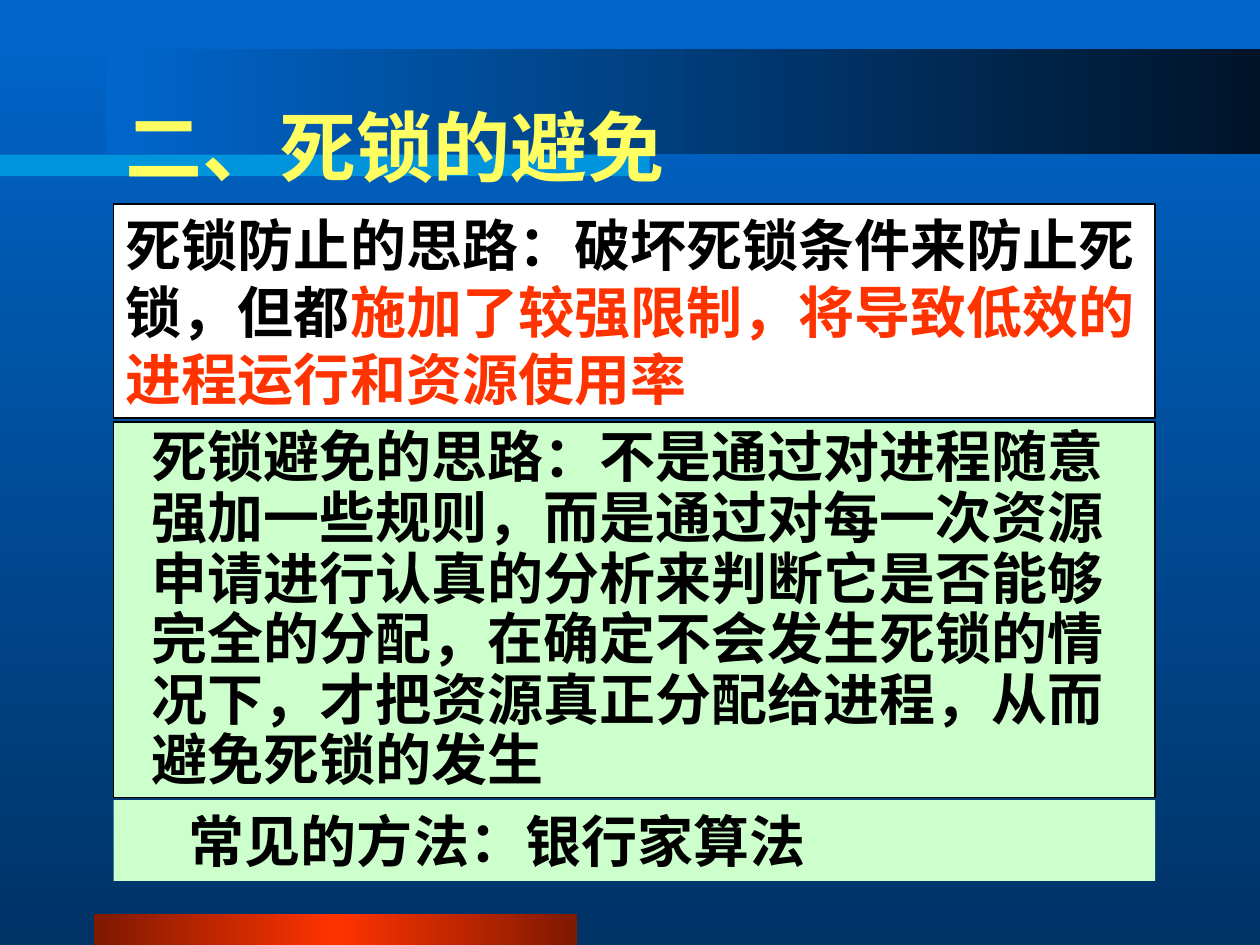
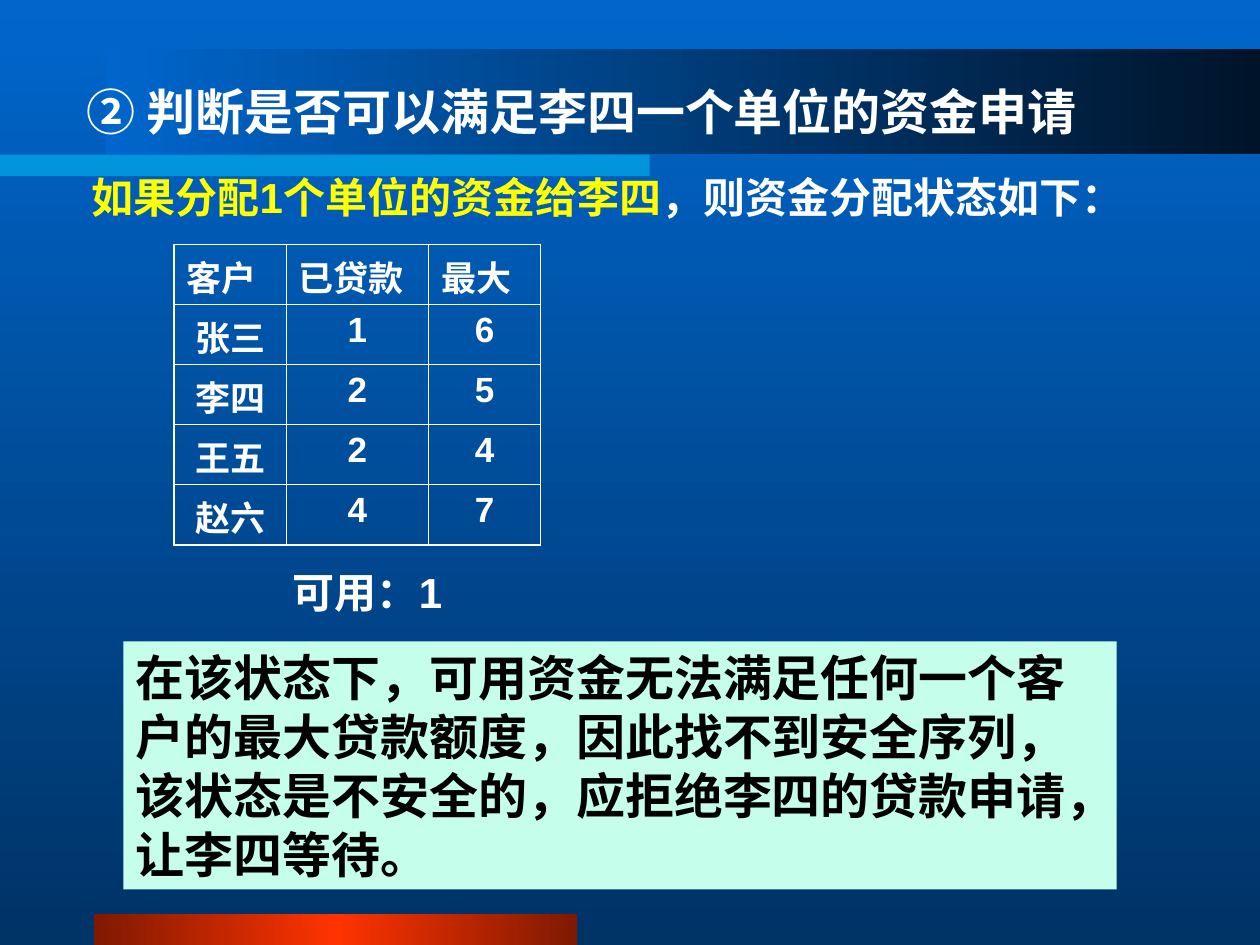
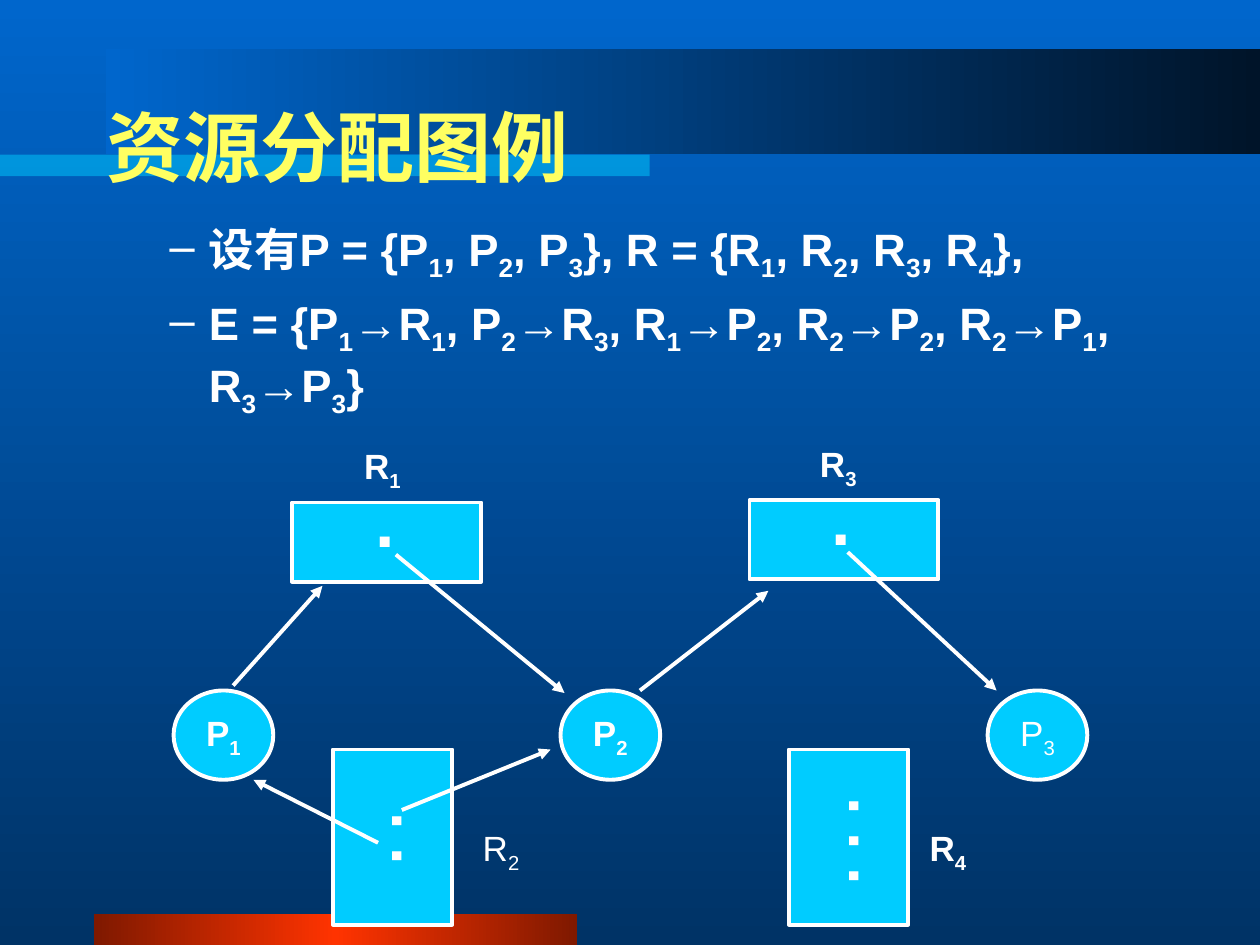
from copy import deepcopy
from typing import NamedTuple

from lxml import etree
from pptx import Presentation
from pptx.dml.color import RGBColor
from pptx.enum.shapes import MSO_CONNECTOR, MSO_SHAPE
from pptx.enum.text import MSO_ANCHOR, PP_ALIGN
from pptx.oxml.ns import qn
from pptx.util import Cm, Pt

RECTANGLE = MSO_SHAPE.RECTANGLE
OVAL = MSO_SHAPE.OVAL
STRAIGHT = MSO_CONNECTOR.STRAIGHT
LEFT, CENTER = PP_ALIGN.LEFT, PP_ALIGN.CENTER
TOP, MIDDLE = MSO_ANCHOR.TOP, MSO_ANCHOR.MIDDLE

SERIF, SANS = "Times New Roman", "Arial"
WHITE, BLACK, RED = "FFFFFF", "000000", "FF3300"
TITLE_YELLOW, YELLOW = "FFFF61", "FFFF00"
BLUE, NAVY, NIGHT, CYAN = "0066CC", "003366", "001429", "00CCFF"
MAROON, PALE_GREEN, MINT = "7F1900", "CCFFCC", "C5FFEC"

INSETS = (0.25, 0.13, 0.25, 0.13)
VERTICAL_INSETS = (0.13, 0.25, 0.13, 0.25)


class Box(NamedTuple):
    left: float
    top: float
    width: float
    height: float

    def lengths(self) -> list:
        return [Cm(value) for value in self]


class Span(NamedTuple):
    text: str
    color: str | None = None
    font: str | None = None


class Resource(NamedTuple):
    name: str
    box: Box
    label: Box
    dots: str
    dots_box: Box
    dots_size: int
    vertical: bool = False
    bold: bool = True


class Process(NamedTuple):
    name: str
    left: float
    bold: bool = True


class Arrow(NamedTuple):
    x1: float
    y1: float
    x2: float
    y2: float


TITLE = Box(1.9, 1.35, 21.59, 3.18)

LOANS = [
    ("客户", "已贷款", "最大"),
    ("张三", "1", "6"),
    ("李四", "2", "5"),
    ("王五", "2", "4"),
    ("赵六", "4", "7"),
]
LOAN_WIDTHS = (2.26, 2.87, 2.26)
LOAN_ROW_HEIGHT = 1.21

RESOURCES = [
    Resource("R_1", Box(5.89, 10.13, 3.81, 1.6), Box(7.09, 8.84, 1.24, 1.22),
             ".", Box(7.32, 9.5, 0.89, 1.96), 40),
    Resource("R_3", Box(15.11, 10.08, 3.81, 1.6), Box(16.28, 8.79, 1.24, 1.22),
             ".", Box(16.51, 9.45, 0.89, 1.96), 40),
    Resource("R_2", Box(6.71, 15.11, 2.41, 3.53), Box(9.3, 16.54, 1.6, 1.22),
             ". .", Box(7.29, 16.13, 2.03, 1.32), 36, True, False),
    Resource("R_4", Box(15.9, 15.11, 2.41, 3.53), Box(18.31, 16.54, 1.6, 1.22),
             ". . .", Box(14.96, 15.82, 3.56, 2.03), 36, True),
]
PROCESSES = [Process("P_1", 3.5), Process("P_2", 11.3), Process("P_3", 19.91, False)]
ARROWS = [
    Arrow(4.7, 13.82, 6.5, 11.81),
    Arrow(7.62, 16.99, 5.11, 15.72),
    Arrow(7.98, 11.18, 11.38, 13.97),
    Arrow(8.1, 16.33, 11.1, 15.11),
    Arrow(12.9, 13.92, 15.49, 11.91),
    Arrow(17.09, 11.13, 20.09, 13.92),
]


def rgb(color: str) -> RGBColor:
    return RGBColor.from_string(color)


def add_child(parent, tag: str, **attributes: str):
    return etree.SubElement(parent, qn(tag), attributes)


def set_gradient(fill, colors: list[str], angle: int = 0) -> None:
    fill.gradient()
    fill.gradient_angle = angle
    first = fill.gradient_stops[0]._gs
    for _ in colors[2:]:
        first.addnext(deepcopy(first))
    for index, (stop, color) in enumerate(zip(fill.gradient_stops, colors)):
        stop.position = index / (len(colors) - 1)
        stop.color.rgb = rgb(color)


def add_run(paragraph, text: str, size: float, font: str, color: str,
            bold: bool, subscript: bool = False) -> None:
    run = paragraph.add_run()
    run.text = text
    run.font.size = Pt(size)
    run.font.name = font
    run.font.bold = bold
    run.font.color.rgb = rgb(color)
    if subscript:
        run._r.get_or_add_rPr().set("baseline", "-25000")


def write(paragraph, content: str | list[Span], *, size: float = 20,
          font: str = SANS, color: str = WHITE, bold: bool = True,
          align=LEFT, leading: float | None = None) -> None:
    paragraph.alignment = align
    if leading:
        paragraph.line_spacing = Pt(leading)
    spans = [Span(content)] if isinstance(content, str) else content
    for span in spans:
        look = (size, span.font or font, span.color or color, bold)
        base, *tails = span.text.split("_")
        add_run(paragraph, base, *look)
        for tail in tails:
            add_run(paragraph, tail[0], *look, subscript=True)
            if tail[1:]:
                add_run(paragraph, tail[1:], *look)


def fit_frame(frame, insets: tuple = INSETS, indent: float = 0,
              wrap: bool = True, anchor=TOP) -> None:
    frame.word_wrap = wrap
    frame.vertical_anchor = anchor
    left, top, right, bottom = insets
    frame.margin_left = Cm(left + indent)
    frame.margin_top = Cm(top)
    frame.margin_right = Cm(right)
    frame.margin_bottom = Cm(bottom)


def add_text(slide, box: Box, content: str | list[Span], *,
             insets: tuple = INSETS, indent: float = 0, wrap: bool = True,
             anchor=TOP, vertical: bool = False, **text_format) -> None:
    frame = slide.shapes.add_textbox(*box.lengths()).text_frame
    fit_frame(frame, insets, indent, wrap, anchor)
    if vertical:
        frame._txBody.bodyPr.set("vert", "eaVert")
    write(frame.paragraphs[0], content, **text_format)


def add_block(slide, box: Box, fill: str | list[str], *, kind=RECTANGLE,
              line: str | None = None, line_width: float = 1):
    block = slide.shapes.add_shape(kind, *box.lengths())
    block.shadow.inherit = False
    if isinstance(fill, str):
        block.fill.solid()
        block.fill.fore_color.rgb = rgb(fill)
    else:
        set_gradient(block.fill, fill)
    if line:
        block.line.color.rgb = rgb(line)
        block.line.width = Pt(line_width)
    else:
        block.line.fill.background()
    return block


def add_panel(slide, box: Box, content: str | list[Span], fill: str, *,
              line: str | None = None, indent: float = 0, **text_format) -> None:
    frame = add_block(slide, box, fill, line=line).text_frame
    fit_frame(frame, indent=indent)
    write(frame.paragraphs[0], content, color=BLACK, **text_format)


def add_arrow(slide, arrow: Arrow) -> None:
    edge = slide.shapes.add_connector(STRAIGHT, *[Cm(value) for value in arrow])
    edge.line.color.rgb = rgb(WHITE)
    edge.line.width = Pt(2.25)
    add_child(edge.line._get_or_add_ln(), "a:tailEnd", type="triangle")
    add_child(edge._element.spPr, "a:effectLst")


def start_slide(deck):
    slide = deck.slides.add_slide(deck.slide_layouts[6])
    set_gradient(slide.background.fill, [BLUE, NAVY], 270)
    add_block(slide, Box(1.9, 18.42, 9.73, 0.63), [MAROON, RED, MAROON])
    add_block(slide, Box(2.13, 0.99, 23.27, 2.11), [BLUE, NIGHT])
    stripe = add_block(slide, Box(0, 3.12, 13.1, 0.43), CYAN)
    stripe_color = stripe._element.spPr.find(qn("a:solidFill"))[0]
    add_child(stripe_color, "a:alpha", val="50000")
    return slide


def add_title(slide, text: str, indent: float = 0) -> None:
    add_text(slide, TITLE, text, indent=indent, anchor=MIDDLE,
             size=44, font=SERIF, color=TITLE_YELLOW)


def set_borders(cell, outer: dict[str, bool]) -> None:
    properties = cell._tc.get_or_add_tcPr()
    for side, is_outer in outer.items():
        width = Pt(1.08 if is_outer else 0.45)
        border = add_child(properties, f"a:ln{side}", w=str(int(width)))
        add_child(add_child(border, "a:solidFill"), "a:srgbClr", val=WHITE)


def add_loan_table(slide) -> None:
    last_row, last_column = len(LOANS) - 1, len(LOAN_WIDTHS) - 1
    box = Box(3.51, 4.93, sum(LOAN_WIDTHS), LOAN_ROW_HEIGHT * len(LOANS))
    table = slide.shapes.add_table(
        len(LOANS), len(LOAN_WIDTHS), *box.lengths()).table
    table.first_row = table.horz_banding = False
    for column, width in zip(table.columns, LOAN_WIDTHS):
        column.width = Cm(width)
    for r, loan in enumerate(LOANS):
        table.rows[r].height = Cm(LOAN_ROW_HEIGHT)
        for c, value in enumerate(loan):
            cell = table.cell(r, c)
            set_borders(cell, {"L": c == 0, "R": c == last_column,
                               "T": r == 0, "B": r == last_row})
            cell.fill.background()
            write(cell.text_frame.paragraphs[0], value,
                  align=CENTER if r else LEFT)


def add_definitions(slide, definitions: list[str]) -> None:
    frame = slide.shapes.add_textbox(*Box(1.9, 4.32, 21.59, 4.24).lengths()).text_frame
    fit_frame(frame)
    for index, definition in enumerate(definitions):
        paragraph = frame.add_paragraph() if index else frame.paragraphs[0]
        properties = paragraph._p.get_or_add_pPr()
        properties.set("marL", str(Cm(2.06)))
        properties.set("indent", str(Cm(-0.79)))
        add_child(add_child(properties, "a:buClr"), "a:srgbClr", val=WHITE)
        add_child(properties, "a:buChar", char="–")
        if index:
            paragraph.space_before = Pt(7)
        write(paragraph, definition, size=25.9)


def add_resource(slide, resource: Resource) -> None:
    add_block(slide, resource.box, CYAN, line=WHITE, line_width=2.25)
    add_text(slide, resource.label, resource.name, wrap=False, align=CENTER,
             bold=resource.bold)
    add_text(slide, resource.dots_box, resource.dots, wrap=False, align=CENTER,
             size=resource.dots_size, vertical=resource.vertical,
             insets=VERTICAL_INSETS if resource.vertical else INSETS)


def add_process(slide, process: Process) -> None:
    node = add_block(slide, Box(process.left, 13.92, 2.01, 1.8), CYAN,
                     kind=OVAL, line=WHITE, line_width=2.25)
    fit_frame(node.text_frame, wrap=False, anchor=MIDDLE)
    write(node.text_frame.paragraphs[0], process.name, align=CENTER,
          bold=process.bold)


def build_avoidance(deck) -> None:
    slide = start_slide(deck)
    add_title(slide, "二、死锁的避免", indent=0.39)
    add_panel(slide, Box(2.29, 4.11, 21, 4.32), [
        Span("死锁防止的思路：破坏死锁条件来防止死锁，但都"),
        Span("施加了较强限制，将导致低效的进程运行和资源使用率", RED),
    ], WHITE, line=BLACK, size=32, font=SERIF, leading=38.4)
    add_panel(slide, Box(2.29, 16.13, 21, 1.63), "常见的方法：银行家算法",
              PALE_GREEN, indent=1.27, size=32, font=SERIF)
    add_panel(slide, Box(2.29, 8.51, 21, 7.57),
              "死锁避免的思路：不是通过对进程随意强加一些规则，而是通过对每一次资源"
              "申请进行认真的分析来判断它是否能够完全的分配，在确定不会发生死锁的情"
              "况下，才把资源真正分配给进程，从而避免死锁的发生",
              PALE_GREEN, line=BLACK, indent=0.51, size=32, font=SERIF,
              leading=34.6)


def build_loan_check(deck) -> None:
    slide = start_slide(deck)
    add_loan_table(slide)
    add_text(slide, Box(5.11, 11.3, 4.6, 1.27), "可用：1", size=24, align=CENTER)
    add_text(slide, Box(1.5, 1.52, 22, 1.45), [
        Span("② ", font=SERIF),
        Span("判断是否可以满足李四一个单位的资金申请"),
    ], size=28)
    add_text(slide, Box(1.4, 3.33, 21.69, 1.27), [
        Span("如果分配1个单位的资金给李四", YELLOW),
        Span("，则资金分配状态如下："),
    ], size=24, align=CENTER, wrap=False)
    add_panel(slide, Box(2.49, 12.93, 20.02, 5),
              "在该状态下，可用资金无法满足任何一个客户的最大贷款额度，因此找不到安全"
              "序列，该状态是不安全的，应拒绝李四的贷款申请，让李四等待。",
              MINT, size=28, leading=33.7)


def build_allocation_graph(deck) -> None:
    slide = start_slide(deck)
    add_title(slide, "资源分配图例")
    add_definitions(slide, [
        "设有P = {P_1, P_2, P_3}, R = {R_1, R_2, R_3, R_4},",
        "E = {P_1→R_1, P_2→R_3, R_1→P_2, R_2→P_2, R_2→P_1, R_3→P_3}",
    ])
    for resource in RESOURCES:
        add_resource(slide, resource)
    for process in PROCESSES:
        add_process(slide, process)
    for arrow in ARROWS:
        add_arrow(slide, arrow)


def main() -> None:
    deck = Presentation()
    deck.slide_width, deck.slide_height = Cm(25.4), Cm(19.05)
    build_avoidance(deck)
    build_loan_check(deck)
    build_allocation_graph(deck)
    deck.save("out.pptx")


if __name__ == "__main__":
    main()
